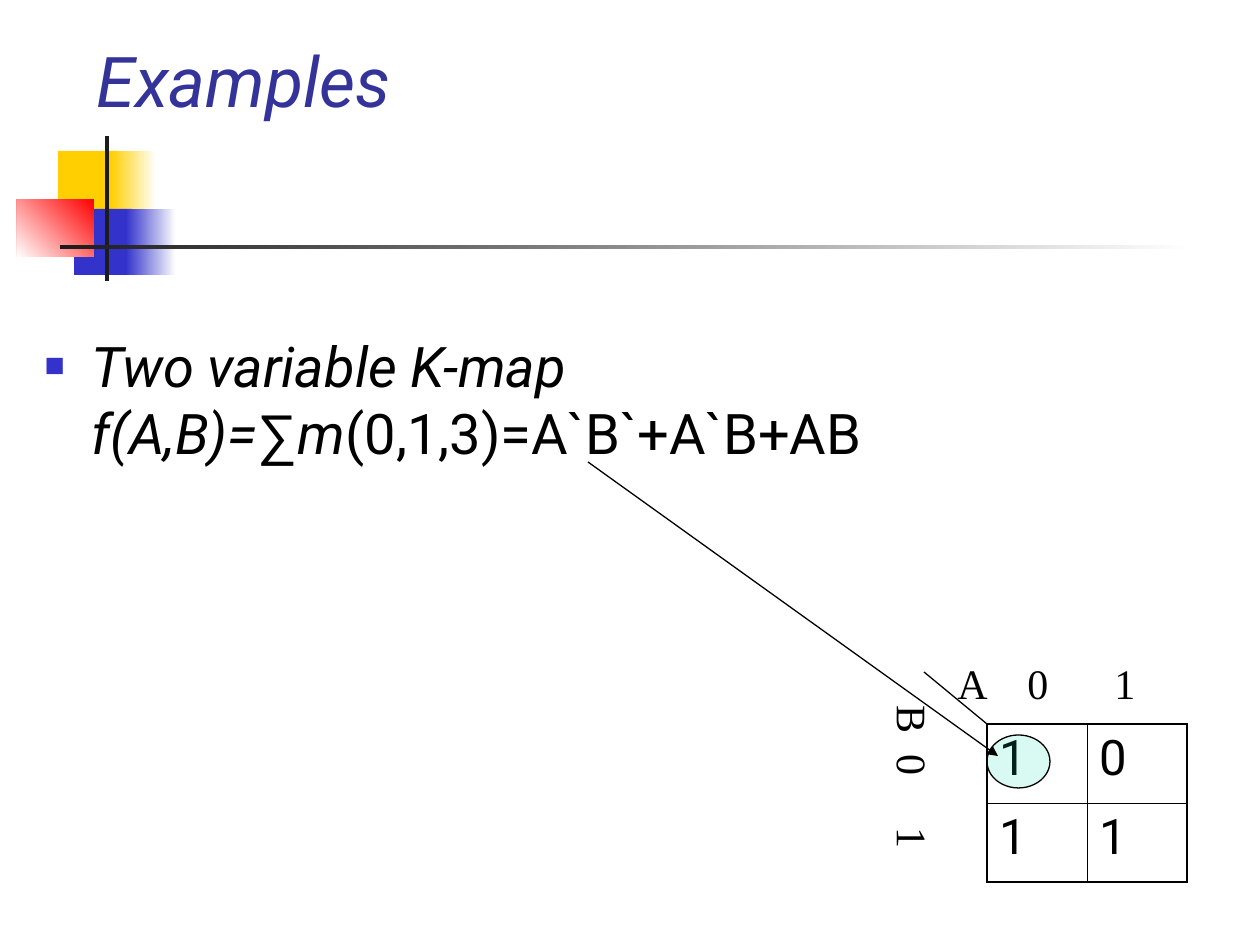
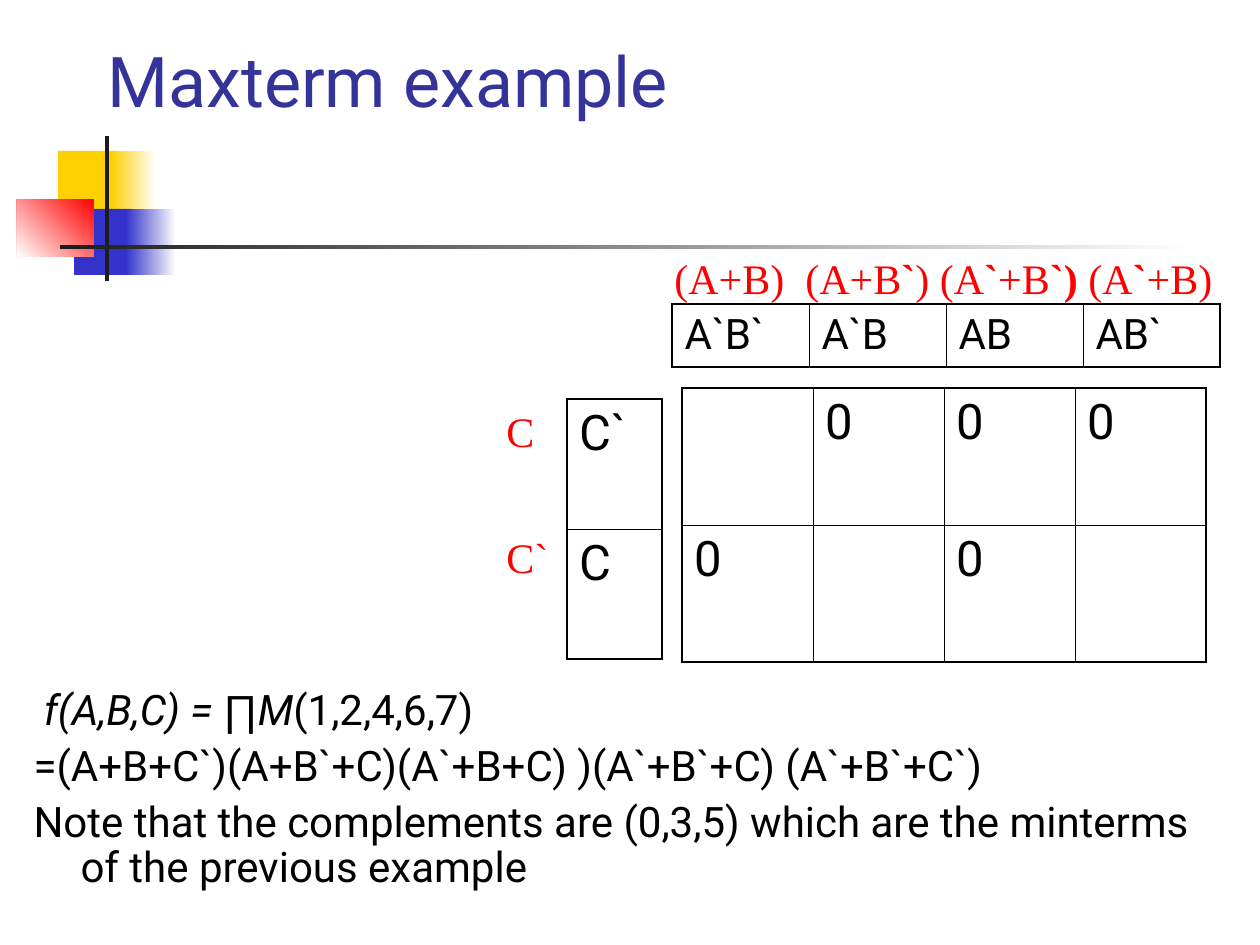
import pptx
import pptx.dml.color
import pptx.enum.shapes
import pptx.enum.text
import pptx.oxml
import pptx.oxml.ns
import pptx.util
from lxml import etree

EMU_PER_PX = 914400 / 126
BODY_FONT = "Roboto"
LABEL_FONT = "Times New Roman"
BLACK, WHITE, RED = "000000", "FFFFFF", "FF0000"
DARK, GOLD, BLUE, TITLE_BLUE, MINT = "1C1C1C", "FFCF01", "3333CC", "333399", "00E4A8"
OUTER_BORDER, INNER_BORDER = 1.08, 0.45
HANGING = 47

BANDS = [
    ((58, 151, 60, 66), [GOLD], 0),
    ((111, 151, 45, 66), [WHITE, GOLD], 180),
    ((74, 209, 58, 66), [BLUE], 0),
    ((126, 209, 50, 66), [WHITE, BLUE], 180),
    ((17, 199, 77, 58), [RED, WHITE], 225),
    ((105, 136, 4, 145), [DARK], 0),
    ((60, 245, 1134, 4), [WHITE, DARK], 180),
]

ITALIC, ARIAL, BOLD = {"italic": True}, {"name": "Arial"}, {"bold": True}

EXAMPLES = {
    "title": ("Examples", (84, 32, 1071, 94), True),
    "body_box": (32, 325, 1187, 567),
    "body": [[
        ("Two variable K-map", ITALIC), ("\v", {}), ("f(A,B)=", ITALIC),
        ("∑", ARIAL), ("m", ITALIC), ("(0,1,3)=A`B`+A`B+AB", {}),
    ]],
    "body_style": {"size": 32, "bullet": "■"},
    "tables": [((987, 724), 100, 79, 28, [["1", "0"], ["1", "1"]])],
    "labels": [
        ((945, 651, 231, 63), [("A\t0\t1", {})], {"tabs": [70, 157]}, 0),
        ((824, 751, 179, 63), [("B\t0\t1", {})], {"tabs": [49, 122]}, 90),
    ],
    "label_color": BLACK,
}

MAXTERM = {
    "title": ("Maxterm example", (95, 32, 1071, 94), False),
    "body_box": (21, 683, 1197, 231),
    "body": [
        [(" f(A,B,C) = ", ITALIC), ("∏", ARIAL), ("M", ITALIC), ("(1,2,4,6,7)", {})],
        [("=(A+B+C`)(A+B`+C)(A`+B+C) )(A`+B`+C) (A`+B`+C`)", {})],
        [("Note that the complements are (0,3,5) which are the minterms "
          "of the previous example", {})],
    ],
    "body_style": {"size": 24, "line_spacing": 0.9, "space_before": 6},
    "tables": [
        ((682, 388), 131, 137, 28, [["", "0", "0", "0"], ["0", "", "0", ""]]),
        ((672, 304), 137, 63, 24, [["A`B`", "A`B", "AB", "AB`"]]),
        ((567, 399), 95, 130, 28, [["C`"], ["C"]]),
    ],
    "labels": [
        ((662, 252, 563, 58),
         [("(A+B)\t(A+B", {}), ("`", BOLD), (") (A", {}), ("`", BOLD), ("+B", {}),
          ("`) ", BOLD), ("(A", {}), ("`", BOLD), ("+B)", {})],
         {"tabs": [131], "line_spacing": 0.9}, 0),
        ((494, 399, 53, 63), [("C", {})], {}, 0),
        ((494, 525, 67, 63), [("C`", {})], {}, 0),
    ],
    "label_color": RED,
}


def px(length):
    return pptx.util.Emu(round(length * EMU_PER_PX))


def rgb(color):
    return pptx.dml.color.RGBColor.from_string(color)


def add_xml(parent, tag, **attributes):
    element = etree.SubElement(parent, pptx.oxml.ns.qn(tag))
    for name, value in attributes.items():
        element.set(name, str(value))
    return element


def place(shape, box):
    shape.left, shape.top, shape.width, shape.height = map(px, box)


def write_paragraph(paragraph, runs, size, font=BODY_FONT, color=BLACK, hanging=0,
                    bullet=None, tabs=(), line_spacing=None, space_before=0):
    properties = paragraph._p.get_or_add_pPr()
    if hanging:
        properties.set("marL", str(px(hanging)))
        properties.set("indent", str(px(-hanging)))
    if bullet:
        add_xml(add_xml(properties, "a:buClr"), "a:srgbClr", val=BLUE)
        add_xml(properties, "a:buSzPct", val=60000)
        add_xml(properties, "a:buFont", typeface="Arial")
        add_xml(properties, "a:buChar", char=bullet)
    else:
        add_xml(properties, "a:buNone")
    if tabs:
        tab_list = add_xml(properties, "a:tabLst")
        for position in tabs:
            add_xml(tab_list, "a:tab", pos=px(position), algn="l")
    paragraph.alignment = pptx.enum.text.PP_ALIGN.LEFT
    paragraph.space_before = pptx.util.Pt(space_before)
    if line_spacing:
        paragraph.line_spacing = line_spacing
    paragraph.font.name = font
    paragraph.font.size = pptx.util.Pt(size)
    paragraph.font.color.rgb = rgb(color)
    for text, style in runs:
        if text == "\v":
            paragraph.add_line_break()
            continue
        run = paragraph.add_run()
        run.text = text
        for name, value in style.items():
            setattr(run.font, name, value)


def add_bands(slide):
    for box, colors, angle in BANDS:
        shape = slide.shapes.add_shape(
            pptx.enum.shapes.MSO_SHAPE.RECTANGLE, *map(px, box))
        shape.shadow.inherit = False
        shape.line.fill.background()
        if len(colors) == 1:
            shape.fill.solid()
            shape.fill.fore_color.rgb = rgb(colors[0])
            continue
        shape.fill.gradient()
        shape.fill.gradient_angle = angle
        for stop, color in zip(shape.fill.gradient_stops, colors):
            stop.color.rgb = rgb(color)


def add_title(slide, text, box, italic):
    title = slide.shapes.title
    place(title, box)
    frame = title.text_frame
    frame.vertical_anchor = pptx.enum.text.MSO_ANCHOR.MIDDLE
    frame.auto_size = pptx.enum.text.MSO_AUTO_SIZE.NONE
    write_paragraph(frame.paragraphs[0], [(text, {})], 40, color=TITLE_BLUE)
    frame.paragraphs[0].font.italic = italic


def add_body(slide, box, paragraphs, style):
    body = slide.placeholders[1]
    place(body, box)
    frame = body.text_frame
    frame.auto_size = pptx.enum.text.MSO_AUTO_SIZE.NONE
    for index, runs in enumerate(paragraphs):
        paragraph = frame.add_paragraph() if index else frame.paragraphs[0]
        settings = style if index else {**style, "space_before": 0}
        write_paragraph(paragraph, runs, hanging=HANGING, **settings)


def add_border(cell, side, width):
    line = add_xml(cell._tc.get_or_add_tcPr(), f"a:ln{side}", w=pptx.util.Pt(width))
    add_xml(add_xml(line, "a:solidFill"), "a:srgbClr", val=BLACK)


def add_grid(slide, corner, column_width, row_height, size, rows):
    row_count, column_count = len(rows), len(rows[0])
    box = (*corner, column_width * column_count, row_height * row_count)
    table = slide.shapes.add_table(row_count, column_count, *map(px, box)).table
    table.first_row = table.horz_banding = False
    for row, texts in enumerate(rows):
        for column, text in enumerate(texts):
            cell = table.cell(row, column)
            edges = {"L": column == 0, "R": column == column_count - 1,
                     "T": row == 0, "B": row == row_count - 1}
            for side, is_outer in edges.items():
                add_border(cell, side, OUTER_BORDER if is_outer else INNER_BORDER)
            cell.fill.background()
            if text:
                write_paragraph(cell.text_frame.paragraphs[0], [(text, {})], size)


def add_label(slide, box, runs, style, rotation, color):
    label = slide.shapes.add_textbox(*map(px, box))
    label.rotation = rotation
    label.text_frame.word_wrap = bool(rotation)
    write_paragraph(label.text_frame.paragraphs[0], runs, 24, LABEL_FONT, color, **style)


def add_line(slide, start, end, arrow=False):
    connector = slide.shapes.add_connector(
        pptx.enum.shapes.MSO_CONNECTOR.STRAIGHT, *map(px, start + end))
    connector.line.color.rgb = rgb(BLACK)
    connector.line.width = pptx.util.Pt(0.75)
    if arrow:
        add_xml(connector.line._get_or_add_ln(), "a:tailEnd", type="triangle")
    add_xml(connector._element.spPr, "a:effectLst")


def add_minterm_circle(slide, box):
    circle = slide.shapes.add_shape(pptx.enum.shapes.MSO_SHAPE.OVAL, *map(px, box))
    circle.shadow.inherit = False
    circle.fill.solid()
    circle.fill.fore_color.rgb = rgb(MINT)
    fill_color = circle._element.spPr.find(".//" + pptx.oxml.ns.qn("a:srgbClr"))
    add_xml(fill_color, "a:alpha", val=15000)
    circle.line.color.rgb = rgb(BLACK)
    circle.line.width = pptx.util.Pt(0.75)


def add_content_slide(presentation, content):
    slide = presentation.slides.add_slide(presentation.slide_layouts[1])
    add_bands(slide)
    add_title(slide, *content["title"])
    add_body(slide, content["body_box"], content["body"], content["body_style"])
    for grid in content["tables"]:
        add_grid(slide, *grid)
    for label in content["labels"]:
        add_label(slide, *label, content["label_color"])
    return slide


def main():
    presentation = pptx.Presentation()
    presentation.slide_width, presentation.slide_height = px(1260), px(945)
    examples = add_content_slide(presentation, EXAMPLES)
    add_line(examples, (924, 672), (987, 724))
    add_minterm_circle(examples, (987, 735, 63, 53))
    add_line(examples, (588, 462), (998, 756), arrow=True)
    add_content_slide(presentation, MAXTERM)
    presentation.save("out.pptx")


if __name__ == "__main__":
    main()
